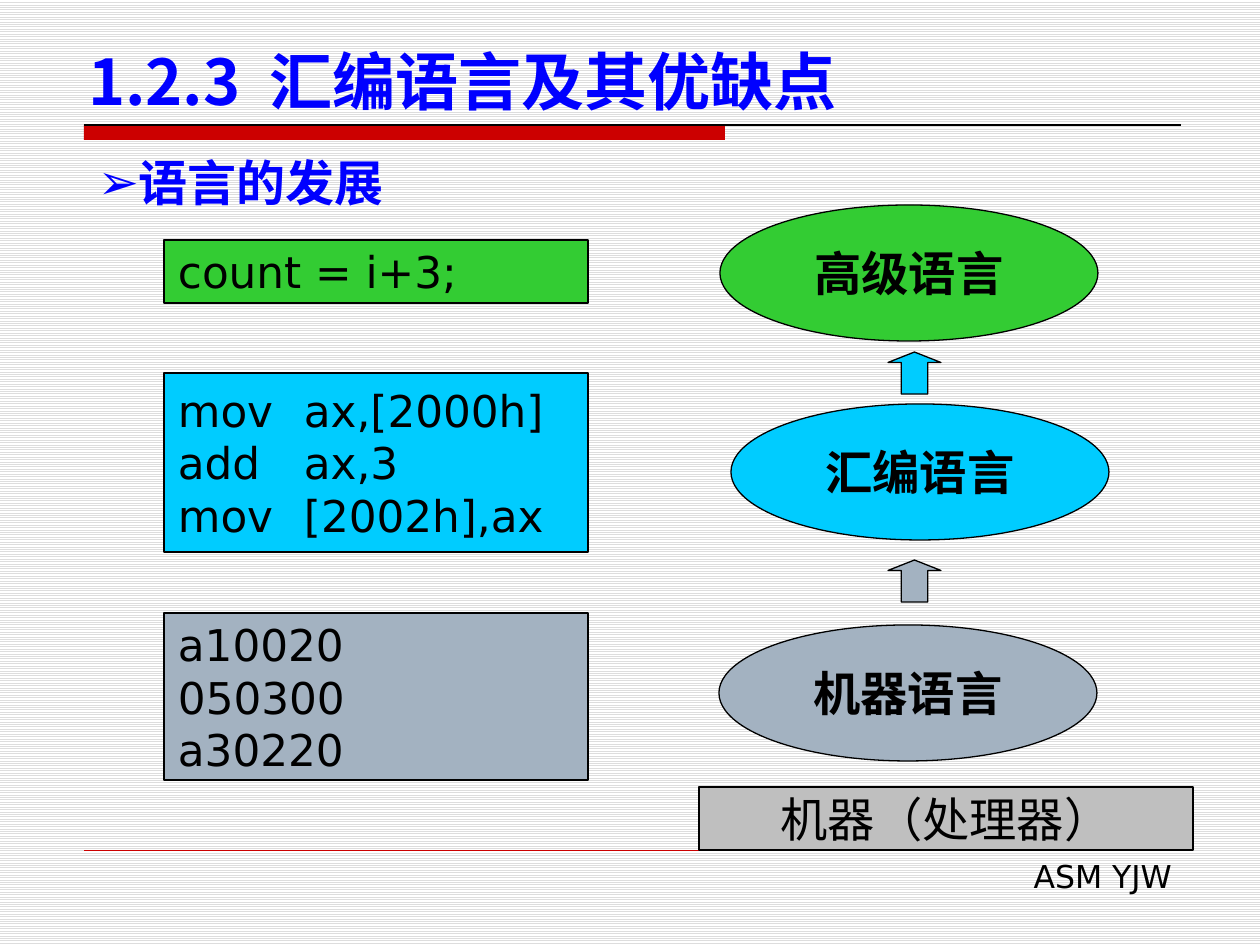
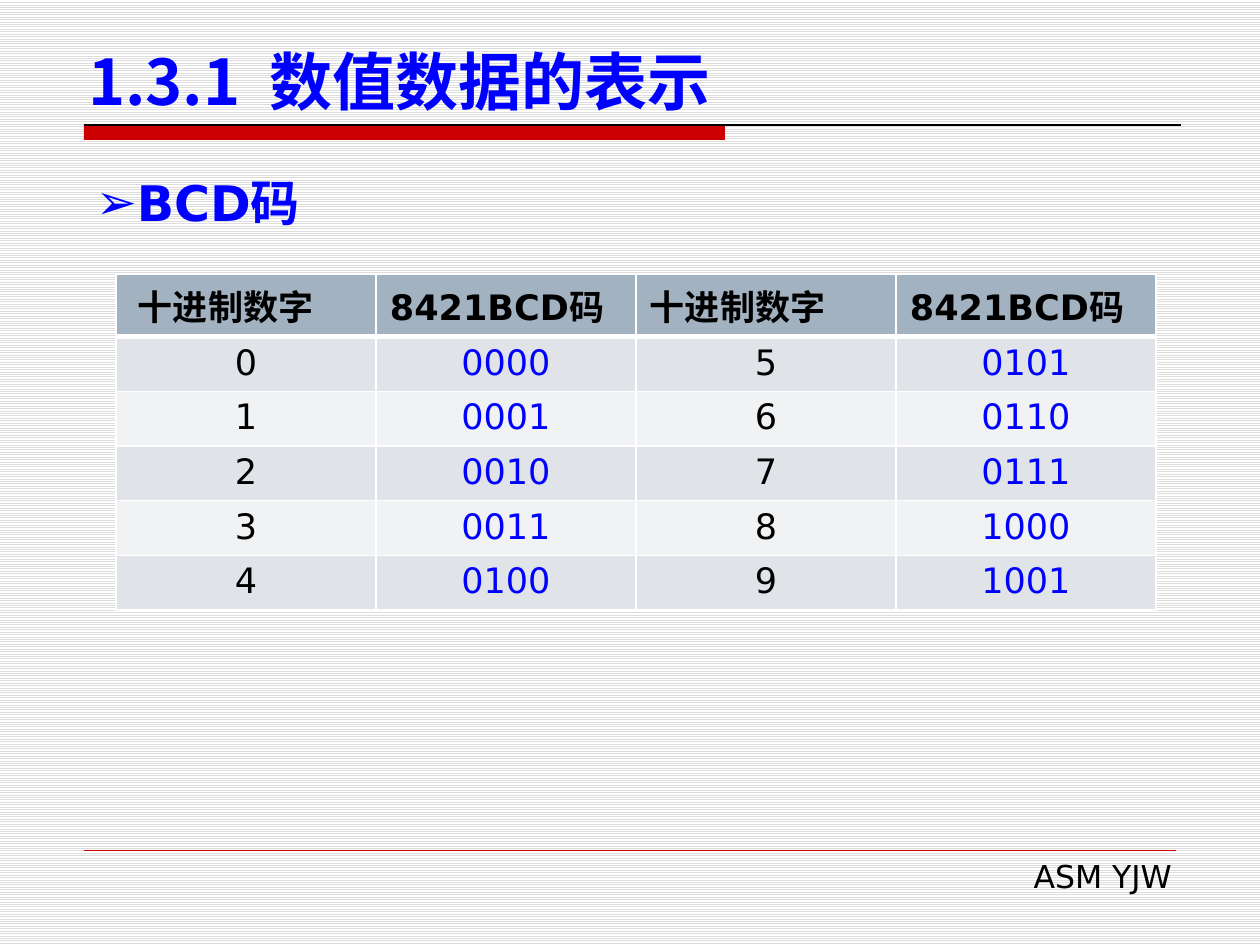
"""Build two lecture slides on assembly language and BCD code."""
from dataclasses import dataclass

from lxml import etree
from pptx import Presentation
from pptx.dml.color import RGBColor as RGB
from pptx.enum.dml import MSO_PATTERN
from pptx.enum.shapes import MSO_CONNECTOR, MSO_SHAPE as SHAPE
from pptx.enum.text import MSO_ANCHOR as ANCHOR, MSO_AUTO_SIZE, PP_ALIGN as ALIGN
from pptx.oxml import parse_xml
from pptx.oxml.ns import nsdecls, qn
from pptx.util import Pt


@dataclass(frozen=True)
class Theme:
    blue: str = "0000FF"
    red: str = "CC0000"
    black: str = "000000"
    white: str = "FFFFFF"
    stripe: str = "DDDDDD"
    green: str = "33CC33"
    cyan: str = "00CCFF"
    slate: str = "A3B2C1"
    grey: str = "BFBFBF"
    band_dark: str = "E0E4E9"
    band_light: str = "F0F2F4"
    sans: str = "DejaVu Sans"
    cjk: str = "Noto Sans CJK SC"
    serif: str = "Times New Roman"
    title: int = 36
    heading: int = 28
    label: int = 27
    code: int = 25
    cell: int = 20
    footer: int = 18


T = Theme()
rgb = RGB.from_string
PX = 914400 / 126


def px(*lengths):
    return [round(n * PX) for n in lengths]


def style(tf, size, color=T.black, bold=False, font=T.sans, align=ALIGN.LEFT, anchor=ANCHOR.TOP):
    tf.word_wrap = True
    tf.auto_size = MSO_AUTO_SIZE.NONE
    tf.vertical_anchor = anchor
    tf.margin_left, tf.margin_right, tf.margin_top, tf.margin_bottom = px(14, 14, 8, 8)
    for p in tf.paragraphs:
        p.alignment = align
        p.space_before = Pt(0)
        for r in p.runs:
            f = r.font
            f.size, f.bold, f.name = Pt(size), bold, font
            f.color.rgb = rgb(color)
            etree.SubElement(r.font._element, qn("a:ea")).set("typeface", T.cjk)


prs = Presentation()
prs.slide_width, prs.slide_height = px(1260, 945)
layout = prs.slide_layouts[1]
fill = layout.background.fill
fill.patterned()
fill.pattern = MSO_PATTERN.LIGHT_HORIZONTAL
fill.fore_color.rgb, fill.back_color.rgb = rgb(T.stripe), rgb(T.white)

slides = []
for title, heading, x, y in [
    ("1.2.3  汇编语言及其优缺点", "语言的发展", 84, 145),
    ("1.3.1  数值数据的表示", "BCD码", 82, 165),
]:
    s = prs.slides.add_slide(layout)
    slides.append(s)
    head, body = s.placeholders
    head.left, head.top, head.width, head.height = px(74, 37, 1142, 89)
    head.text_frame.text = title
    style(head.text_frame, T.title, T.blue, True, T.cjk, anchor=ANCHOR.BOTTOM)
    body.left, body.top, body.width, body.height = px(x, y, 1091, 73)
    body.text_frame.text = heading
    style(body.text_frame, T.heading, T.blue, True)
    pPr = body.text_frame.paragraphs[0]._p.get_or_add_pPr()
    pPr.set("marL", "0")
    pPr.set("indent", "0")
    etree.SubElement(pPr, qn("a:buFont")).set("typeface", T.sans)
    etree.SubElement(pPr, qn("a:buChar")).set("char", "➢")

s = slides[0]
bar = s.shapes.add_shape(SHAPE.RECTANGLE, *px(84, 125, 641, 15))
bar.shadow.inherit = False
bar.fill.solid()
bar.fill.fore_color.rgb = rgb(T.red)
bar.line.fill.background()
footer = s.shapes.add_textbox(*px(481, 849, 705, 53))
footer.text_frame.text = "ASM YJW"
style(footer.text_frame, T.footer, align=ALIGN.RIGHT)
shared = [bar, footer]
for right, y, color, width in [(1181, 125, T.black, 0.75), (1176, 850, T.red, 0.25)]:
    rule = s.shapes.add_connector(MSO_CONNECTOR.STRAIGHT, *px(84, y, right, y))
    rule.line.color.rgb, rule.line.width = rgb(color), Pt(width)
    etree.SubElement(rule.element.spPr, qn("a:effectLst"))
    shared.append(rule)
for shape in shared:
    layout.shapes.element.append(shape.element)

code = dict(size=T.code)
label = dict(size=T.label, bold=True, font=T.serif, align=ALIGN.CENTER)
plain = {**label, "bold": False}
diagram = [
    (SHAPE.RECTANGLE, (699, 787, 494, 63), T.grey, "机器（处理器）", plain),
    (SHAPE.OVAL, (719, 625, 378, 136), T.slate, "机器语言", label),
    (SHAPE.OVAL, (731, 404, 378, 136), T.cyan, "汇编语言", label),
    (SHAPE.OVAL, (720, 205, 378, 136), T.green, "高级语言", label),
    (SHAPE.UP_ARROW, (888, 352, 53, 42), T.cyan, "", code),
    (SHAPE.UP_ARROW, (888, 560, 53, 42), T.slate, "", code),
    (SHAPE.RECTANGLE, (164, 240, 424, 63), T.green, "count = i+3;", code),
    (SHAPE.RECTANGLE, (164, 373, 424, 179), T.cyan,
     "mov\tax,[2000h]\nadd\tax,3\nmov\t[2002h],ax", code),
    (SHAPE.RECTANGLE, (164, 613, 424, 167), T.slate, "a10020\n050300\na30220", code),
]
for kind, place, color, text, look in diagram:
    sp = s.shapes.add_shape(kind, *px(*place))
    sp.shadow.inherit = False
    sp.fill.solid()
    sp.fill.fore_color.rgb = rgb(color)
    sp.line.color.rgb, sp.line.width = rgb(T.black), Pt(0.75)
    if kind == SHAPE.UP_ARROW:
        sp.adjustments[0], sp.adjustments[1] = 0.5, 0.25
    if text:
        sp.text_frame.text = text
        style(sp.text_frame, anchor=ANCHOR.MIDDLE, **look)

rows = [[" 十进制数字", "8421BCD码", "十进制数字", "8421BCD码"]]
rows += [[str(n), f"{n:04b}", str(n + 5), f"{n + 5:04b}"] for n in range(5)]
table = slides[1].shapes.add_table(6, 4, *px(116, 274, 1040, 328)).table
for i, row in enumerate(rows):
    for j, text in enumerate(row):
        cell = table.cell(i, j)
        cell.text = text
        cell.fill.solid()
        cell.fill.fore_color.rgb = rgb(T.slate if i == 0 else T.band_dark if i % 2 else T.band_light)
        p = cell.text_frame.paragraphs[0]
        p.alignment = ALIGN.CENTER if i else ALIGN.LEFT
        f = p.runs[0].font
        f.size, f.bold, f.name = Pt(T.cell), i == 0, T.sans
        f.color.rgb = rgb(T.blue if i and j % 2 else T.black)
        cell.margin_left, cell.margin_right, cell.margin_top, cell.margin_bottom = px(14, 14, 6, 6)
        tcPr = cell._tc.get_or_add_tcPr()
        for k, side in enumerate("LRTB"):
            heavy = (i, side) in [(0, "B"), (1, "T")]
            tcPr.insert(k, parse_xml(
                f'<a:ln{side} {nsdecls("a")} w="{Pt(3 if heavy else 1)}"><a:solidFill>'
                f'<a:srgbClr val="{T.white}"/></a:solidFill></a:ln{side}>'))

prs.save("out.pptx")
